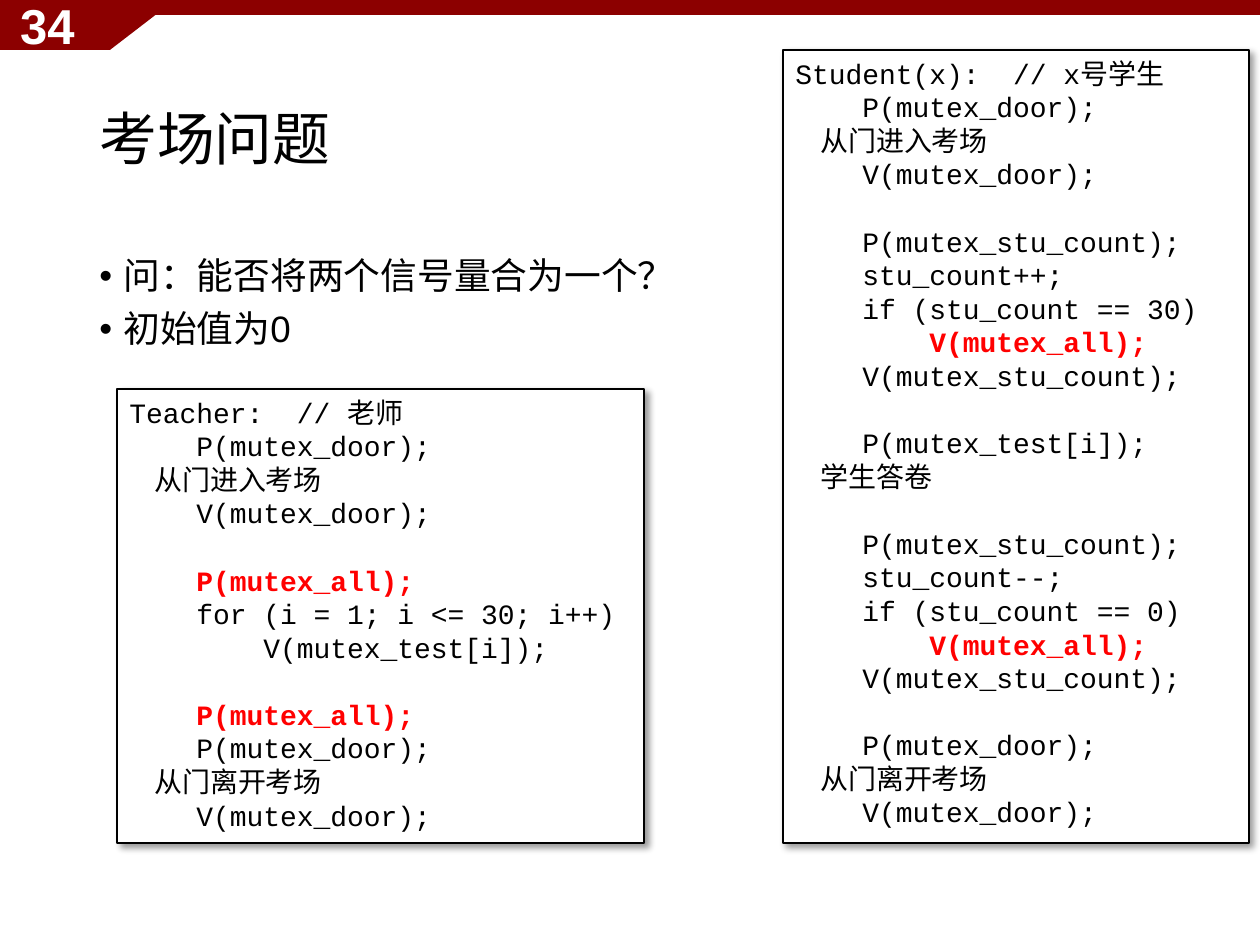
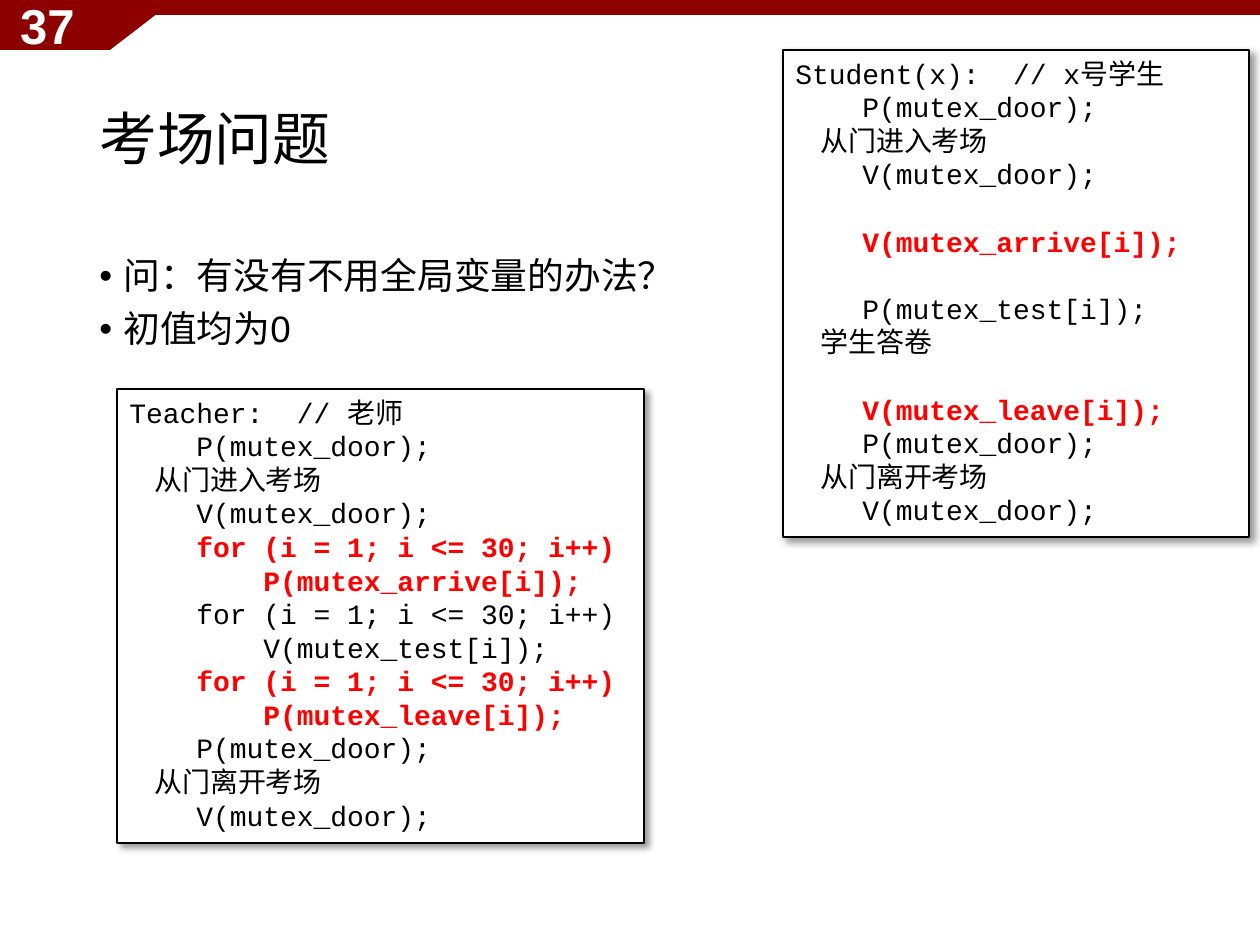
from lxml import etree
from pptx import Presentation
from pptx import util as u
from pptx.dml.color import RGBColor
from pptx.enum import shapes, text
from pptx.oxml import ns

PX = 914400 / 126
COLORS = {"band": "8C0000", "text": "000000", "paper": "FFFFFF", "mark": "FF0000"}
CODE_INDENT = 67   # four monospaced characters
PROSE_INDENT = 25  # four spaces of the Chinese font
CODE_LINE = 19.2   # points

# Code listings: "!" marks a highlighted line, an empty line opens a gap.
ENTER = """\
    P(mutex_door);
    从门进入考场
    V(mutex_door);"""
LEAVE = """\
    P(mutex_door);
    从门离开考场
    V(mutex_door);"""
LOOP = "    for (i = 1; i <= 30; i++)"
TEST_ALL = f"{LOOP}\n        V(mutex_test[i]);"
ANSWER = "    P(mutex_test[i]);\n    学生答卷"
TEACHER = f"Teacher:  // 老师\n{ENTER}"
STUDENT = f"Student(x):  // x号学生\n{ENTER}\n"


def wait_all(semaphore):
    return f"!{LOOP}\n!        P({semaphore}[i]);"


def count_students(step, limit):
    return f"""\
    P(mutex_stu_count);
    stu_count{step};
    if (stu_count == {limit})
!        V(mutex_all);
    V(mutex_stu_count);
"""


SLIDES = [
    {
        "number": "34",
        "points": ["问：能否将两个信号量合为一个？", "初始值为0"],
        "teacher": f"{TEACHER}\n\n!    P(mutex_all);\n{TEST_ALL}\n\n"
                   f"!    P(mutex_all);\n{LEAVE}",
        "student": f"{STUDENT}\n{count_students('++', 30)}\n{ANSWER}\n\n"
                   f"{count_students('--', 0)}\n{LEAVE}",
        "student_height": 793,
    },
    {
        "number": "37",
        "points": ["问：有没有不用全局变量的办法？", "初值均为0"],
        "teacher": f"{TEACHER}\n{wait_all('mutex_arrive')}\n{TEST_ALL}\n"
                   f"{wait_all('mutex_leave')}\n{LEAVE}",
        "student": f"{STUDENT}\n!    V(mutex_arrive[i]);\n\n{ANSWER}\n\n"
                   f"!    V(mutex_leave[i]);\n{LEAVE}",
        "student_height": 487,
    },
]


def px(length):
    return u.Emu(round(length * PX))


def color(name):
    return RGBColor.from_string(COLORS[name])


def fill_shape(shape, name):
    shape.shadow.inherit = False
    shape.fill.solid()
    shape.fill.fore_color.rgb = color(name)
    shape.line.fill.background()


def style_runs(para, font, size, name="text", bold=False):
    for span in para.runs:
        span.font.name = font
        span.font.size = u.Pt(size)
        span.font.bold = bold
        span.font.color.rgb = color(name)


def add_text_box(page, left, top, width, height, anchor=text.MSO_ANCHOR.TOP):
    box = page.shapes.add_textbox(px(left), px(top), px(width), px(height))
    box.text_frame.word_wrap = True
    box.text_frame.vertical_anchor = anchor
    return box.text_frame


def set_indent(para, left, first=0):
    props = para._p.get_or_add_pPr()
    props.set("marL", str(px(left)))
    props.set("indent", str(px(first)))
    return props


def add_band(page, number):
    builder = page.shapes.build_freeform(0, 0, scale=PX)
    builder.add_line_segments([(-1, 50), (110, 50), (175, 0)])
    fill_shape(builder.convert_to_shape(), "band")
    strip = page.shapes.add_shape(
        shapes.MSO_SHAPE.RECTANGLE, px(-1), px(0), px(1261), px(15))
    fill_shape(strip, "band")
    frame = add_text_box(page, -2, 0, 89, 50, text.MSO_ANCHOR.MIDDLE)
    frame.text = number
    frame.paragraphs[0].alignment = text.PP_ALIGN.RIGHT
    style_runs(frame.paragraphs[0], "Arial", 28, "paper", bold=True)


def add_title(page, title):
    frame = add_text_box(page, 87, 50, 1086, 183, text.MSO_ANCHOR.MIDDLE)
    frame.text = title
    frame.paragraphs[0].line_spacing = 0.9
    style_runs(frame.paragraphs[0], "Times New Roman", 33)


def add_bullets(page, points):
    frame = add_text_box(page, 87, 252, 1086, 600)
    frame.text = "\n".join(points)
    for para in frame.paragraphs:
        para.line_spacing = 0.9
        para.space_before = u.Pt(7.5)
        props = set_indent(para, 24, -24)
        etree.SubElement(props, ns.qn("a:buFont")).set("typeface", "Arial")
        etree.SubElement(props, ns.qn("a:buChar")).set("char", "•")
        style_runs(para, "Arial", 21)


def add_shadow(shape):
    shape.shadow.inherit = False
    effects = shape._element.spPr.find(ns.qn("a:effectLst"))
    shadow = etree.SubElement(
        effects, ns.qn("a:outerShdw"), blurRad=str(u.Pt(4)), dist=str(u.Pt(3)),
        dir="2700000", algn="tl", rotWithShape="0")
    tint = etree.SubElement(shadow, ns.qn("a:srgbClr"), val=COLORS["text"])
    etree.SubElement(tint, ns.qn("a:alpha"), val="40000")


def add_code(page, code, left, top, width, height):
    box = page.shapes.add_shape(
        shapes.MSO_SHAPE.RECTANGLE, px(left), px(top), px(width), px(height))
    fill_shape(box, "paper")
    box.line.color.rgb = color("text")
    box.line.width = u.Pt(0.75)
    add_shadow(box)
    frame = box.text_frame
    frame.word_wrap = True
    frame.vertical_anchor = text.MSO_ANCHOR.TOP
    lines = code.split("\n")
    frame.text = "\n".join(line.lstrip("! ") for line in lines if line)
    paras = iter(frame.paragraphs)
    gap = 0
    for line in lines:
        if not line:
            gap = CODE_LINE
            continue
        para = next(paras)
        marked = line.startswith("!")
        body = line.removeprefix("!")
        level = (len(body) - len(body.lstrip())) // 4
        step = CODE_INDENT if para.text.isascii() or not level else PROSE_INDENT
        set_indent(para, level * step)
        para.alignment = text.PP_ALIGN.LEFT
        para.line_spacing = u.Pt(CODE_LINE)
        para.space_before = u.Pt(gap)
        style_runs(para, "Courier New", 16, "mark" if marked else "text", marked)
        gap = 0


def main():
    deck = Presentation()
    deck.slide_width, deck.slide_height = px(1260), px(945)
    for content in SLIDES:
        page = deck.slides.add_slide(deck.slide_layouts[6])
        add_band(page, content["number"])
        add_title(page, "考场问题")
        add_bullets(page, content["points"])
        add_code(page, content["teacher"], 117, 389, 527, 454)
        add_code(page, content["student"], 783, 50, 466, content["student_height"])
    deck.save("out.pptx")


if __name__ == "__main__":
    main()
